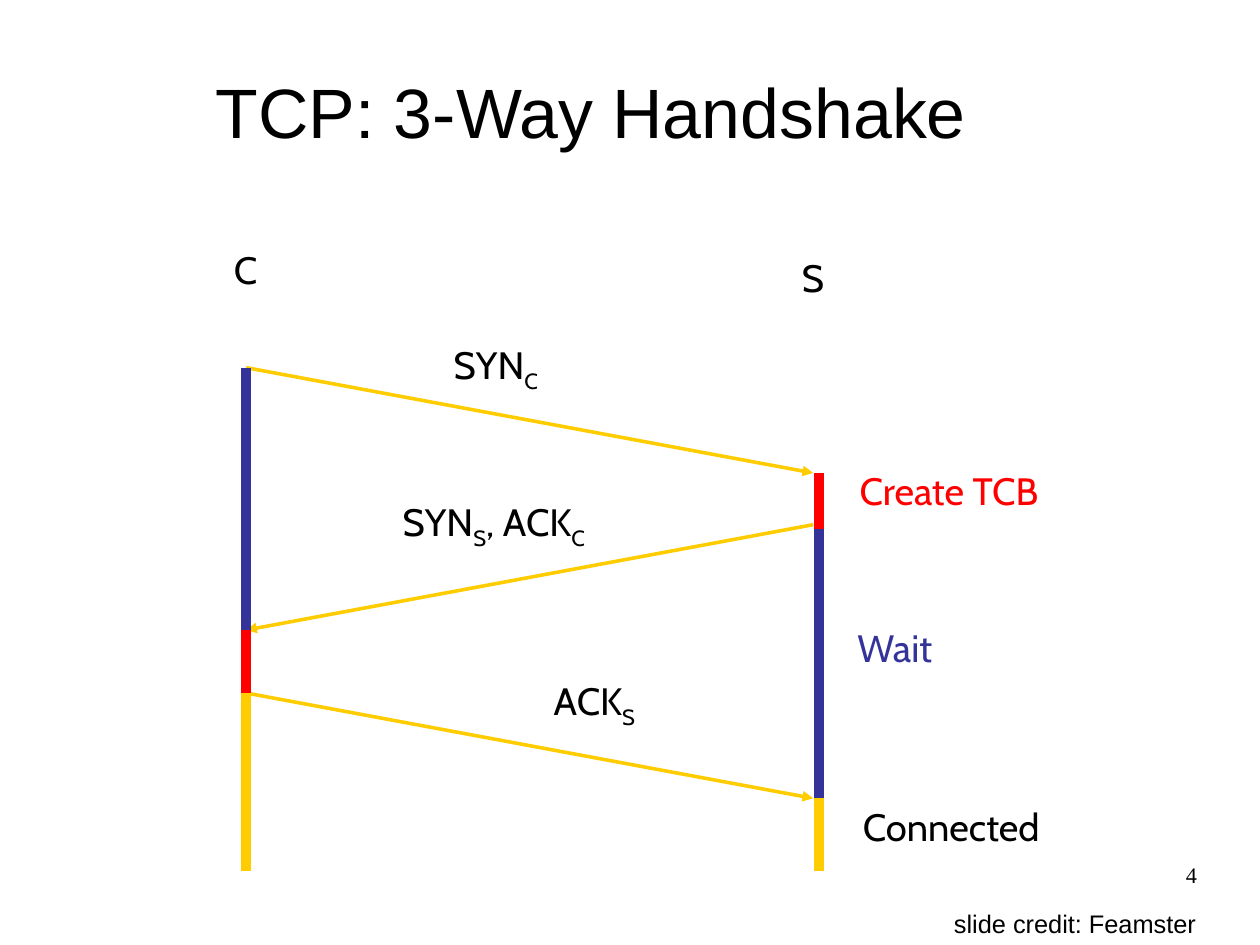
from typing import NamedTuple

from lxml import etree
from pptx import Presentation
from pptx.dml.color import RGBColor
from pptx.enum.shapes import MSO_CONNECTOR, MSO_SHAPE
from pptx.enum.text import MSO_ANCHOR, PP_ALIGN
from pptx.oxml.ns import qn
from pptx.util import Cm, Pt

BLACK = RGBColor(0x00, 0x00, 0x00)
BLUE = RGBColor(0x33, 0x33, 0x99)
GOLD = RGBColor(0xFF, 0xCC, 0x00)
RED = RGBColor(0xFF, 0x00, 0x00)

STRAIGHT = MSO_CONNECTOR.STRAIGHT
ROUND = MSO_SHAPE.ROUNDED_RECTANGLE
LEFT, MID, RIGHT = PP_ALIGN.LEFT, PP_ALIGN.CENTER, PP_ALIGN.RIGHT
TOP, BOTTOM = MSO_ANCHOR.TOP, MSO_ANCHOR.BOTTOM

# Time runs down the slide; all lengths are in centimetres
CLIENT, SERVER = 5.47, 18.2
EDGE = 18.07  # where arrows meet the server bar
DROP = 2.34  # fall of an arrow on its way
SYN, REPLY, ACK = 8.17, 11.66, 15.4  # sending times
END = 19.36


class Label(NamedTuple):
    text: str  # "_" puts the next letter in subscript
    left: float
    top: float
    width: float
    height: float = 1.4
    color: RGBColor = BLACK
    font: str = "Cabin"
    size: int = 24
    align: PP_ALIGN = MID
    anchor: MSO_ANCHOR = TOP
    inset: float = 0.25
    plain: bool = False  # a text box instead of a shape


class Line(NamedTuple):
    x1: float
    y1: float
    x2: float
    y2: float
    color: RGBColor = GOLD
    width: float = 2.25
    arrow: bool = True


def bar(x: float, start: float, stop: float, color: RGBColor) -> Line:
    return Line(x, start, x, stop, color, 6, False)


LINES = [
    # Messages
    Line(CLIENT, SYN, EDGE, SYN + DROP),
    Line(CLIENT, ACK, EDGE, ACK + DROP),
    Line(EDGE, REPLY, CLIENT, REPLY + DROP),
    # Client states
    bar(CLIENT, SYN, REPLY + DROP, BLUE),
    bar(CLIENT, ACK, END, GOLD),
    bar(CLIENT, REPLY + DROP, ACK, RED),
    # Server states
    bar(SERVER, REPLY, ACK + DROP, BLUE),
    bar(SERVER, ACK + DROP, END, GOLD),
    bar(SERVER, SYN + DROP, REPLY + 0.1, RED),
]

LABELS = [
    Label("TCP: 3-Way Handshake", 1.24, 0.73, 23.8, 2.79,
          font="Arial", size=44, anchor=BOTTOM, plain=True),
    # Hosts
    Label("C", 4.89, 5.36, 1.14),
    Label("S", 17.52, 5.54, 1.09),
    # Messages
    Label("SYN_C", 9.66, 7.47, 2.72, 1.5),
    Label("SYN_S, ACK_C", 8.23, 10.96, 5.49, 1.5),
    Label("ACK_S", 11.85, 14.94, 2.72, 1.5),
    # Server states
    Label("Create TCB", 18.45, 10.26, 5.28, color=RED),
    Label("Wait", 18.59, 13.76, 2.59, color=BLUE),
    Label("Connected", 18.42, 17.73, 5.44),
    # Footer
    Label("slide credit: Feamster", 20.95, 20.05, 6.35, 0.94,
          font="Arial", size=16, align=LEFT, plain=True),
    Label("4", 20.07, 19.13, 6.53, 1.45, font="Times New Roman",
          size=14, align=RIGHT, inset=0, plain=True),
]


def draw_line(slide, line: Line) -> None:
    link = slide.shapes.add_connector(
        STRAIGHT, Cm(line.x1), Cm(line.y1), Cm(line.x2), Cm(line.y2))
    link.line.color.rgb = line.color
    link.line.width = Pt(line.width)
    props = link._element.spPr
    if line.arrow:
        etree.SubElement(props.find(qn("a:ln")), qn("a:tailEnd"),
                         type="triangle")
    etree.SubElement(props, qn("a:effectLst"))


def add_box(slide, label: Label):
    area = (Cm(label.left), Cm(label.top), Cm(label.width), Cm(label.height))
    if label.plain:
        return slide.shapes.add_textbox(*area)
    box = slide.shapes.add_shape(ROUND, *area)
    box.adjustments[0] = 0
    box.shadow.inherit = False
    box.fill.background()
    box.line.fill.background()
    # Without the theme style, the paragraph font decides the colour
    box._element.remove(box._element.find(qn("p:style")))
    return box


def draw_label(slide, label: Label) -> None:
    frame = add_box(slide, label).text_frame
    frame.word_wrap = label.plain
    frame.vertical_anchor = label.anchor
    frame.margin_left = frame.margin_right = Cm(label.inset)
    frame.margin_top = frame.margin_bottom = Cm(label.inset / 2)
    para = frame.paragraphs[0]
    para.alignment = label.align
    para.font.name = label.font
    para.font.size = Pt(label.size)
    para.font.color.rgb = label.color
    first, *rest = label.text.split("_")
    para.add_run().text = first
    for part in rest:
        sub = para.add_run()
        sub.text = part[0]
        sub._r.get_or_add_rPr().set("baseline", "-25000")
        if part[1:]:
            para.add_run().text = part[1:]


def main() -> None:
    deck = Presentation()
    deck.slide_width, deck.slide_height = Cm(28), Cm(21)
    slide = deck.slides.add_slide(deck.slide_layouts[6])
    for line in LINES:
        draw_line(slide, line)
    for label in LABELS:
        draw_label(slide, label)
    deck.save("out.pptx")


if __name__ == "__main__":
    main()
